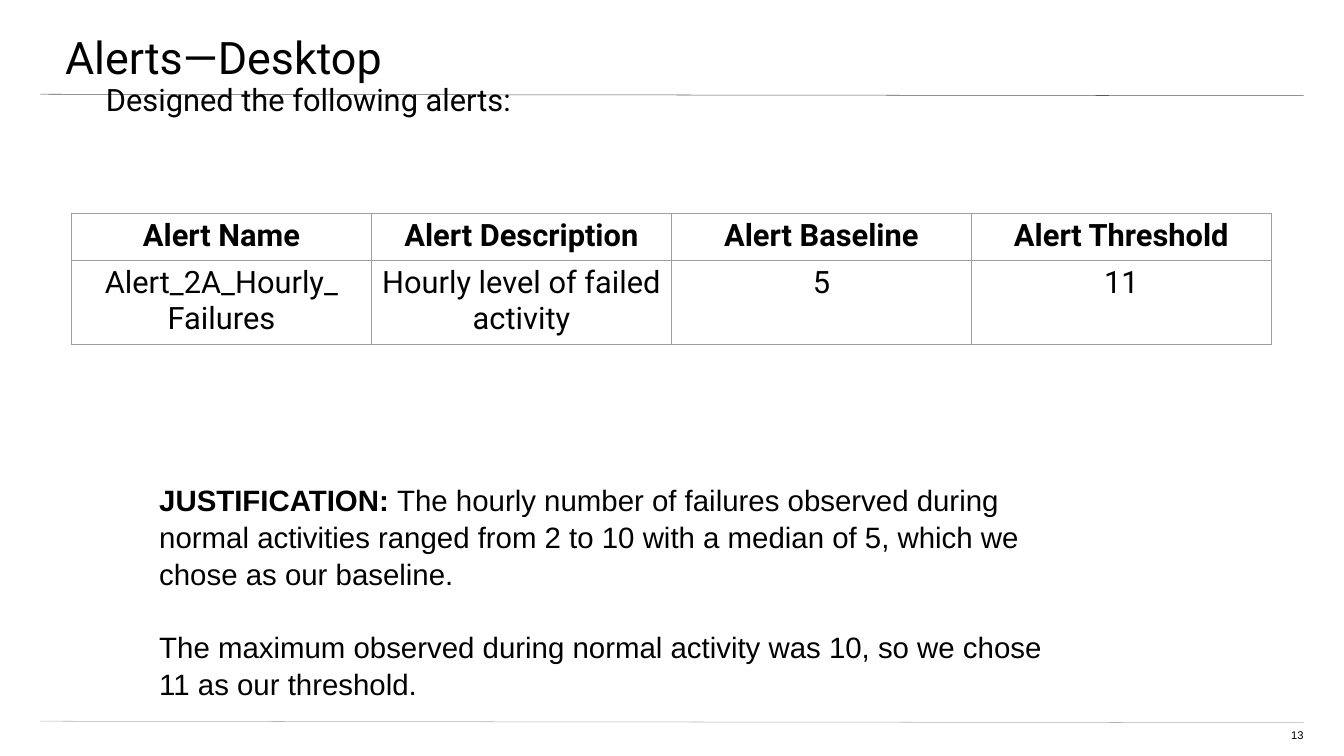
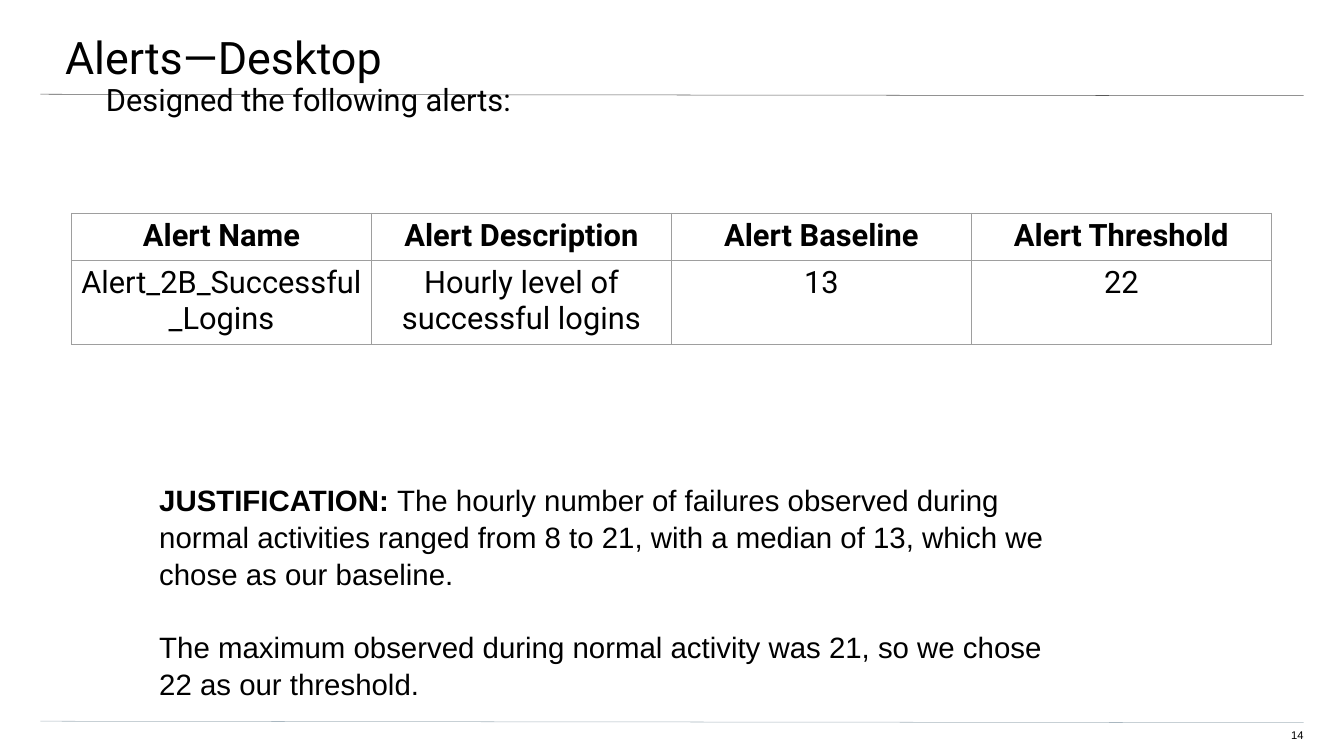
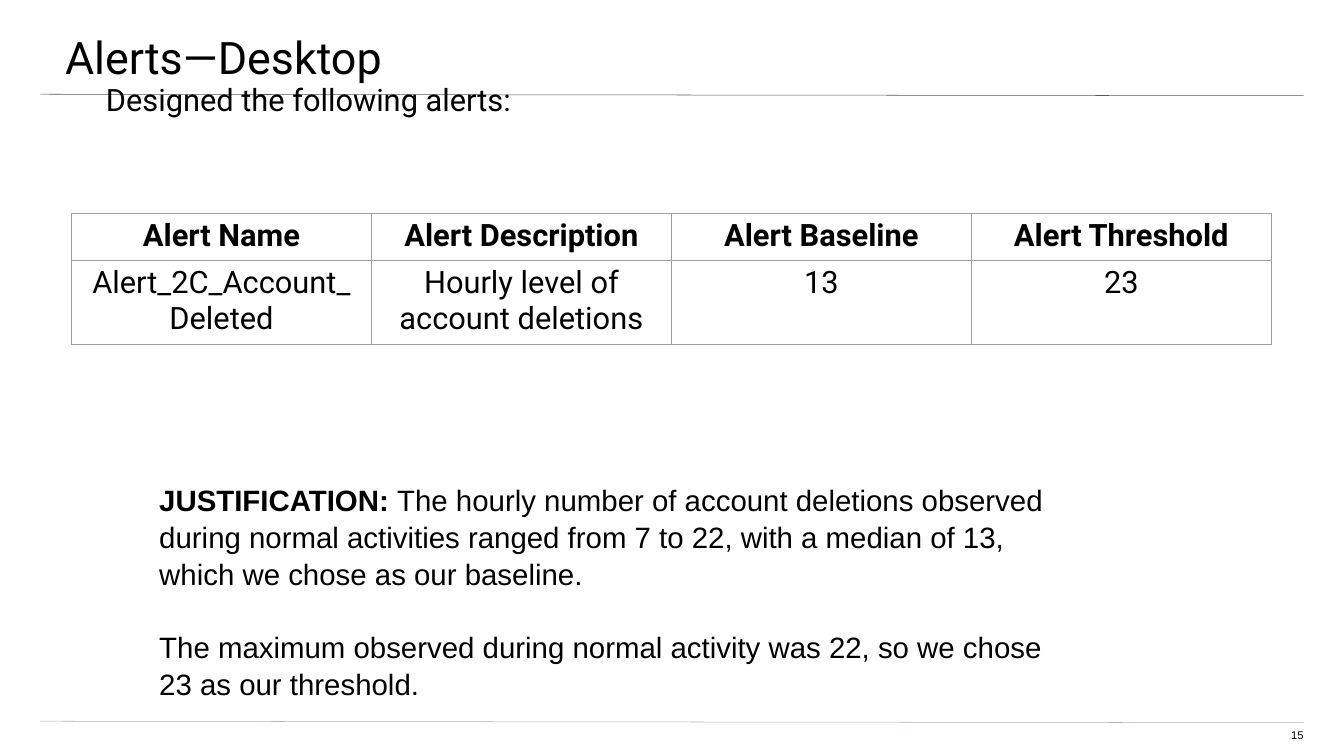
from lxml import etree
from pptx import Presentation
from pptx.dml.color import RGBColor
from pptx.enum.shapes import MSO_CONNECTOR
from pptx.enum.text import MSO_ANCHOR, PP_ALIGN
from pptx.oxml.ns import qn
from pptx.util import Pt

STRAIGHT = MSO_CONNECTOR.STRAIGHT
TOP = MSO_ANCHOR.TOP
LEFT, CENTER, RIGHT = PP_ALIGN.LEFT, PP_ALIGN.CENTER, PP_ALIGN.RIGHT

INK, TITLE_RULE, FOOTER_RULE, GRID = "000000", "595959", "A9B7C0", "9E9E9E"
RULE_WIDTH = 0.75
INSET = 7.2
FIRST_PAGE_NUMBER = 13

TITLE = {"name": "Roboto", "size": Pt(64)}
BODY = {"name": "Roboto", "size": Pt(44)}
HEADING = {**BODY, "bold": True}
NOTE = {"name": "Arial", "size": Pt(42)}
NOTE_LEAD = {**NOTE, "bold": True}
PAGE_NUMBER = {"name": "Arial", "size": Pt(16)}

HEADINGS = ["Alert Name", "Alert Description", "Alert Baseline", "Alert Threshold"]
COLUMN_WIDTH = 428.4
ROW_HEIGHTS = [30, 67]

# name, description, counted events, observed range, baseline, threshold
ALERTS = [
    ("Alert_2A_Hourly_\nFailures", "Hourly level of failed activity",
     "failures", "2 to 10", 5, 11),
    ("Alert_2B_Successful_Logins", "Hourly level of successful logins",
     "failures", "8 to 21,", 13, 22),
    ("Alert_2C_Account_\nDeleted", "Hourly level of account deletions",
     "account deletions", "7 to 22,", 13, 23),
]


def color(value):
    return RGBColor.from_string(value)


class AlertDeck:
    def __init__(self):
        self.deck = Presentation()
        self.deck.slide_width, self.deck.slide_height = Pt(1919.52), Pt(1080)
        self.page = None

    def add_page(self, title, number):
        self.page = self.deck.slides.add_slide(self.deck.slide_layouts[6])
        self.rule(134.64, TITLE_RULE)
        self.rule(1030.32, FOOTER_RULE)
        self.text((-2.88, 0, 1924.56, 112.32), [[(title, TITLE)]],
                  insets=(95.76, 38.16, 57.6, 19.44))
        self.text((1807.2, 1041.12, 54.72, 22.32), [[(str(number), PAGE_NUMBER)]],
                  insets=(0, 0, 0, 19.44), align=RIGHT, spacing=1.0)

    def rule(self, top, line_color):
        """Draw a full-width line that drops slightly to the right."""
        line = self.page.shapes.add_connector(
            STRAIGHT, Pt(57.6), Pt(top), Pt(1861.92), Pt(top + 2.16))
        line.line.color.rgb = color(line_color)
        line.line.width = Pt(RULE_WIDTH)
        etree.SubElement(line._element.spPr, qn("a:effectLst"))

    def span(self, para, text, style):
        span = para.add_run()
        span.text = text
        for name, value in style.items():
            setattr(span.font, name, value)
        span.font.color.rgb = color(INK)

    def text(self, place, paragraphs, insets=(INSET,) * 4, align=LEFT,
             spacing=1.05, gap=0):
        """Add a text box; each paragraph is a list of (text, style) spans."""
        frame = self.page.shapes.add_textbox(*map(Pt, place)).text_frame
        frame.word_wrap = True
        frame.vertical_anchor = TOP
        for side, inset in zip(("left", "top", "right", "bottom"), insets):
            setattr(frame, f"margin_{side}", Pt(inset))
        for index, spans in enumerate(paragraphs):
            para = frame.add_paragraph() if index else frame.paragraphs[0]
            para.alignment = align
            para.line_spacing = spacing
            if index:
                para.space_before = Pt(gap)
            for text, style in spans:
                self.span(para, text, style)

    def border(self, cell):
        properties = cell._tc.get_or_add_tcPr()
        for side in ("lnL", "lnR", "lnT", "lnB"):
            line = etree.SubElement(properties, qn(f"a:{side}"), w=str(Pt(RULE_WIDTH)))
            fill = etree.SubElement(line, qn("a:solidFill"))
            etree.SubElement(fill, qn("a:srgbClr"), val=GRID)

    def cell(self, cell, text, style):
        for side in ("left", "top", "right", "bottom"):
            setattr(cell, f"margin_{side}", Pt(INSET))
        self.border(cell)
        cell.fill.background()
        frame = cell.text_frame
        for index, line in enumerate(text.split("\n")):
            para = frame.add_paragraph() if index else frame.paragraphs[0]
            para.alignment = CENTER
            self.span(para, line, style)

    def table(self, left, top, rows):
        table = self.page.shapes.add_table(
            len(rows), len(HEADINGS), Pt(left), Pt(top),
            Pt(COLUMN_WIDTH * len(HEADINGS)), Pt(sum(ROW_HEIGHTS))).table
        table.first_row = table.horz_banding = False
        for column in table.columns:
            column.width = Pt(COLUMN_WIDTH)
        for row, height, texts in zip(table.rows, ROW_HEIGHTS, rows):
            row.height = Pt(height)
            style = HEADING if texts is HEADINGS else BODY
            for cell, text in zip(row.cells, texts):
                self.cell(cell, text, style)


def main():
    slides = AlertDeck()
    for number, alert in enumerate(ALERTS, FIRST_PAGE_NUMBER):
        name, description, events, observed, baseline, threshold = alert
        slides.add_page("Alerts—Desktop", number)
        slides.text((55.44, 180.72, 1806.48, 776.88),
                    [[("Designed the following alerts:", BODY)]],
                    insets=(95.76, 0, 95.76, 192.24))
        slides.table(102.24, 304.56,
                     [HEADINGS, [name, description, str(baseline), str(threshold)]])
        reason = (f"The hourly number of {events} observed during normal activities "
                  f"ranged from {observed} with a median of {baseline}, "
                  "which we chose as our baseline.")
        limit = ("The maximum observed during normal activity was "
                 f"{threshold - 1}, so we chose {threshold} as our threshold.")
        slides.text((220.32, 678.96, 1304.64, 319.68),
                    [[("JUSTIFICATION: ", NOTE_LEAD), (reason, NOTE)], [(limit, NOTE)]],
                    gap=50.7)
    slides.deck.save("out.pptx")


if __name__ == "__main__":
    main()
